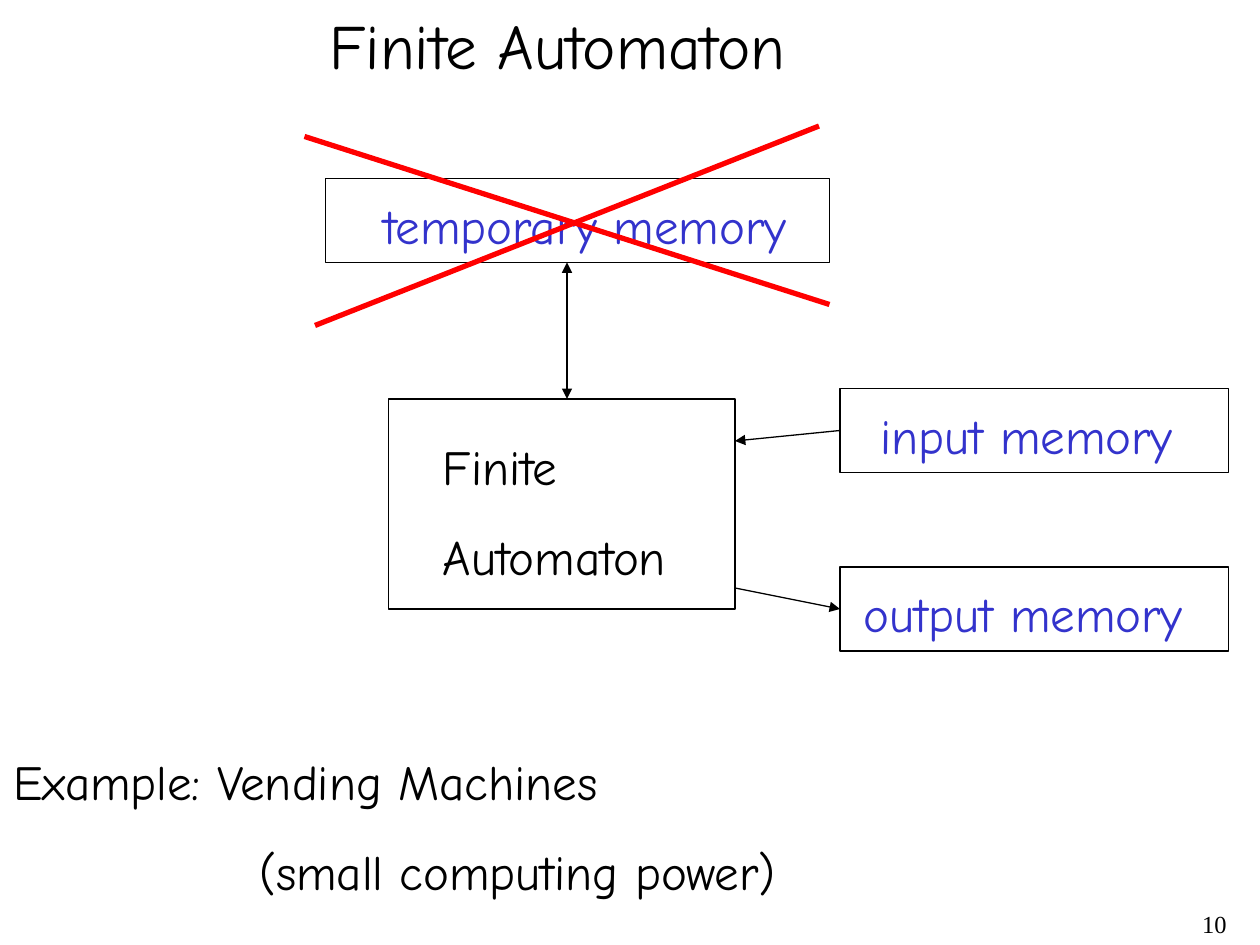
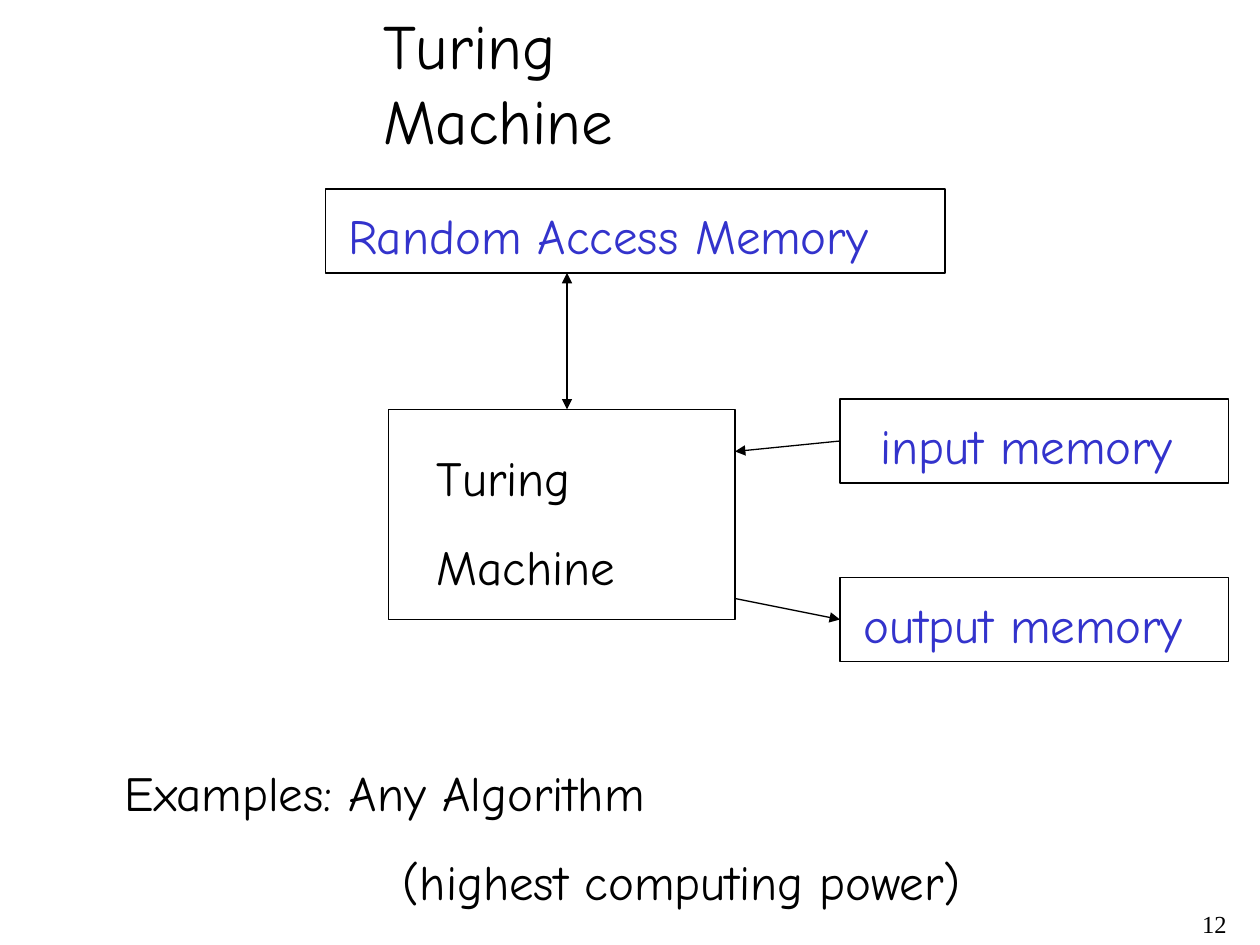
import pptx
import pptx.util
import pptx.dml.color
import pptx.enum.text
import pptx.enum.shapes
import pptx.oxml

deck = pptx.Presentation()
deck.slide_width = pptx.util.Inches(10)
deck.slide_height = pptx.util.Inches(7.5)
col = deck.slide_width / 120
row = deck.slide_height / 90

hue = pptx.dml.color.RGBColor.from_string
black, blue, red = "000000", "3333CC", "FF0000"
hand, serif = "Comic Neue", "Times New Roman"
left = pptx.enum.text.PP_ALIGN.LEFT
right = pptx.enum.text.PP_ALIGN.RIGHT
fit = pptx.enum.text.MSO_AUTO_SIZE
rect = pptx.enum.shapes.MSO_SHAPE.RECTANGLE
line = pptx.enum.shapes.MSO_CONNECTOR.STRAIGHT


def grid(*cells):
    return [round(cell * unit) for cell, unit in zip(cells, (col, row, col, row))]


def write(page, cells, lines, color=black, size=28, font=hand, wrap=False, align=left, gap=0.625, indent=0):
    frame = page.shapes.add_textbox(*grid(*cells)).text_frame
    frame.word_wrap = wrap
    frame.auto_size = fit.NONE if font == serif else fit.SHAPE_TO_FIT_TEXT
    frame.text = "\n".join(lines)
    for para in frame.paragraphs:
        para.alignment = align
        para.space_before = pptx.util.Pt(size * gap)
        para.font.size = pptx.util.Pt(size)
        para.font.name = font
        para.font.color.rgb = hue(color)
    if indent:
        props = frame.paragraphs[-1].font._element.getparent()
        props.set("marL", str(round(indent * col)))
        props.set("indent", "0")


pages = [
    {
        "title": ("Finite Automaton", 30.2, 46.3),
        "number": "10",
        "drop": 0,
        "store": ("temporary memory", 48, 35.3, 41, False),
        "core": (["Finite", "Automaton"], 41, 23.9),
        "note": (["Example: Vending Machines", "(small computing power)"], 0.1, 75.1, 23.4),
        "cross": [(29, 13, 79, 29), (30, 31, 78, 12)],
    },
    {
        "title": ("Turing Machine", 35.3, 42.7),
        "number": "12",
        "drop": 1,
        "store": ("Random Access Memory", 59, 32, 56, True),
        "core": (["Turing", "Machine"], 40.4, 19.4),
        "note": (["Examples: Any Algorithm", "(highest computing power)"], 10.7, 82.1, 26.5),
        "cross": [],
    },
]

for data in pages:
    page = deck.slides.add_slide(deck.slide_layouts[6])
    drop = data["drop"]
    store, span, start, width, wrap = data["store"]
    write(page, (93, 86, 25, 4), [data["number"]], size=14, font=serif, wrap=True, align=right, gap=0.25)

    for x, y, w, h in [(31, 17, span, 8), (80, 37, 37, 8), (80, 54, 37, 8), (37, 38, 33, 20)]:
        box = page.shapes.add_shape(rect, *grid(x, y + drop, w, h))
        box.shadow.inherit = False
        box.fill.background()
        box.line.color.rgb = hue(black)
        box.line.width = pptx.util.Pt(0.75)

    for label, x, y, w, hold in [
        ("input memory", 82.7, 38, 30.2, False),
        ("output memory", 81.1, 55, 32.8, False),
        (store, start, 18, width, wrap),
    ]:
        write(page, (x, y + drop, w, 6.8), [label], blue, wrap=hold)

    words, x, w = data["core"]
    write(page, (x, 41 + drop, w, 15.4), words)
    name, x, w = data["title"]
    write(page, (x, 0, w, 8.4), [name], size=36)

    links = [
        ((54, 25, 54, 38), black, 0.75, ["headEnd", "tailEnd"]),
        ((70, 42, 80, 41), black, 0.75, ["headEnd"]),
        ((70, 56, 80, 58), black, 0.75, ["tailEnd"]),
    ]
    links += [(ends, red, 3, []) for ends in data["cross"]]
    for (x, y, far, low), color, weight, tips in links:
        link = page.shapes.add_connector(line, *grid(x, y + drop, far, low + drop))
        link.line.color.rgb = hue(color)
        link.line.width = pptx.util.Pt(weight)
        stroke = link.line._get_or_add_ln()
        for tip in tips:
            end = pptx.oxml.parse_xml(
                f'<a:{tip} xmlns:a="http://schemas.openxmlformats.org/drawingml/2006/main" type="triangle"/>'
            )
            stroke.append(end)
        stroke.addnext(pptx.oxml.parse_xml(
            '<a:effectLst xmlns:a="http://schemas.openxmlformats.org/drawingml/2006/main"/>'
        ))

    words, x, w, shift = data["note"]
    write(page, (x, 71 + drop, w, 15.4), words, indent=shift)

deck.save("out.pptx")
